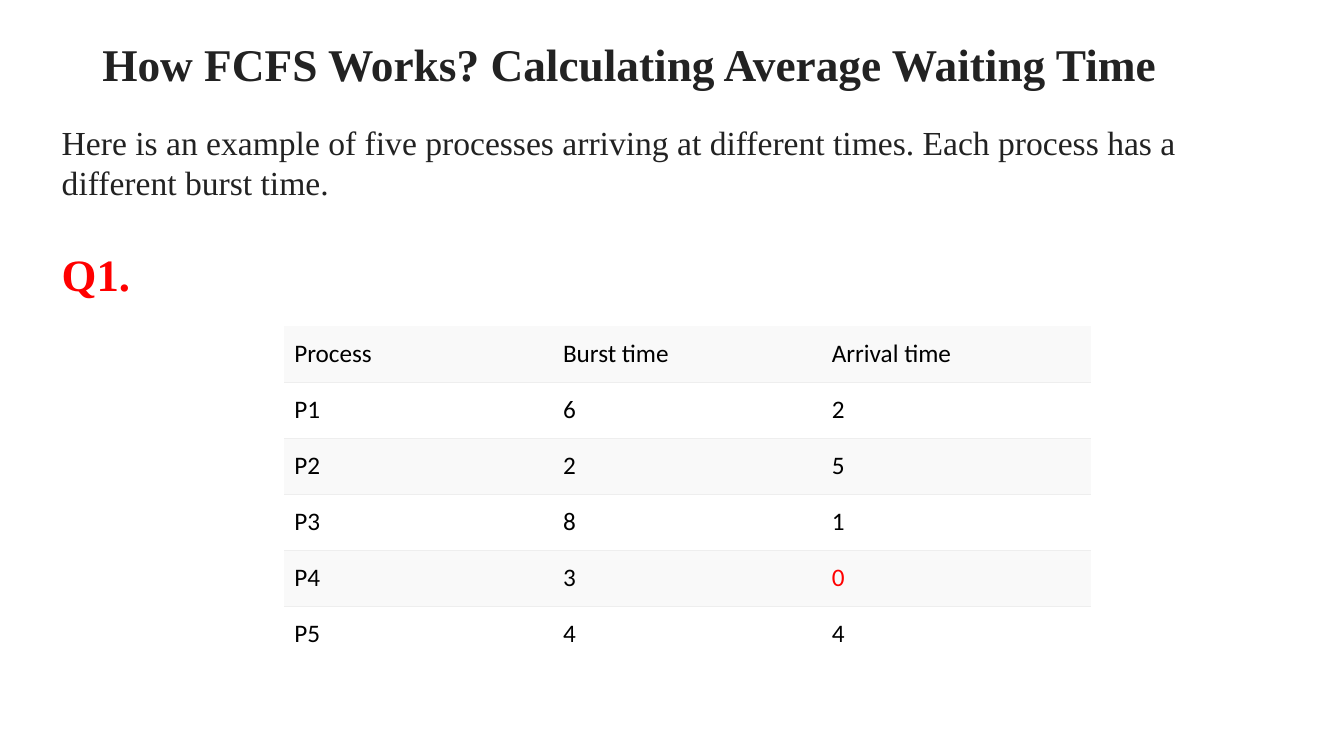
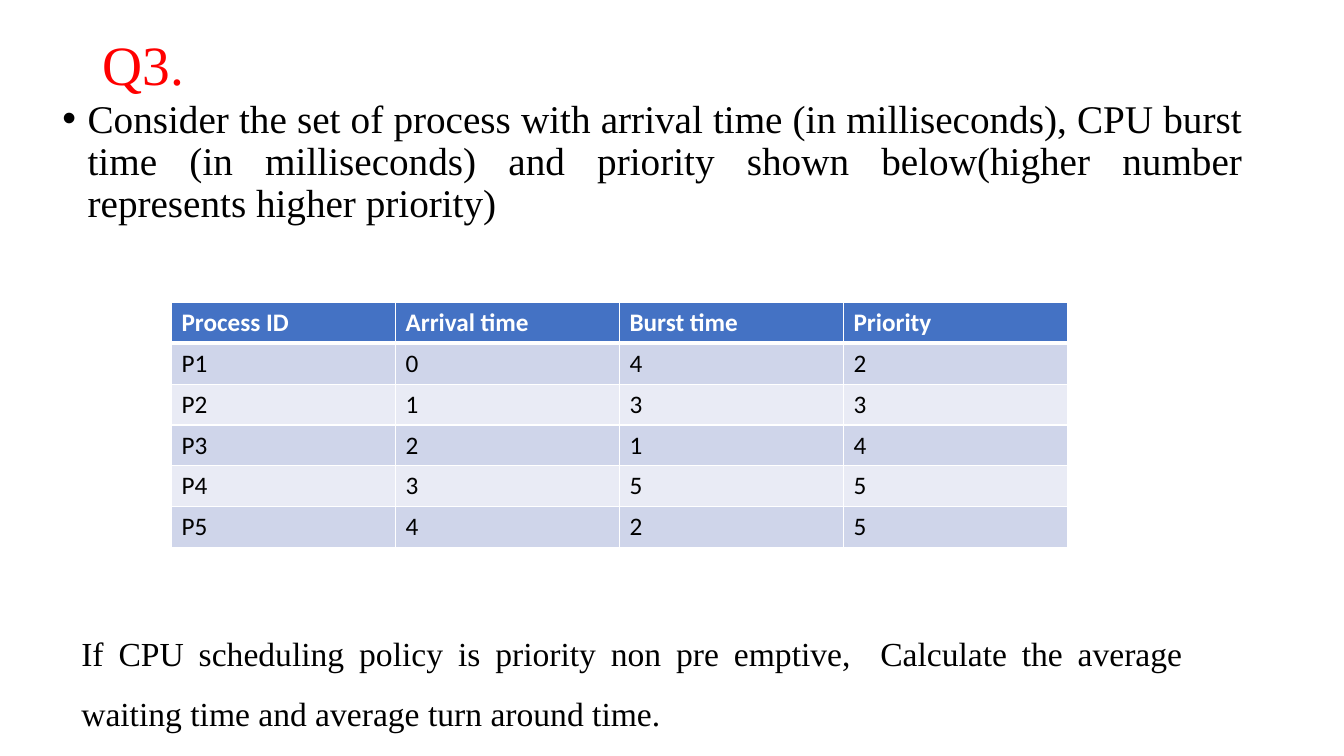
from lxml.etree import SubElement as Sub
from pptx import Presentation
from pptx.dml.color import RGBColor
from pptx.enum.text import MSO_ANCHOR as Anchor, PP_ALIGN as Align
from pptx.oxml.ns import qn
from pptx.util import Pt

SERIF, SANS = "Times New Roman", "Calibri"
BLACK, DARK, WHITE, RED = "000000", "222222", "FFFFFF", "FF0000"
RULE, PALE = "EEEEEE", "F9F9F9"
BLUE, MIST, HAZE = "4472C4", "CFD5EA", "E9EBF5"
TITLE_BOX = (66, 29, 828, 38)

TIMES = [
    ("Process", "Burst time", "Arrival time"),
    ("P1", "6", "2"),
    ("P2", "2", "5"),
    ("P3", "8", "1"),
    ("P4", "3", "0"),
    ("P5", "4", "4"),
]
RANKS = [
    ("Process ID", "Arrival time", "Burst time", "Priority"),
    ("P1", "0", "4", "2"),
    ("P2", "1", "3", "3"),
    ("P3", "2", "1", "4"),
    ("P4", "3", "5", "5"),
    ("P5", "4", "2", "5"),
]


def color(hue):
    """Turn a hex string into a colour."""
    return RGBColor.from_string(hue)


def style(par, face, size, hue, bold=False):
    """Format every run of a paragraph."""
    for run in par.runs:
        font = run.font
        font.name, font.size, font.bold = face, Pt(size), bold
        font.color.rgb = color(hue)


def add_text(slide, box, text, size, hue, bold=False, lines=1.0, align=Align.LEFT):
    """Add a wrapped serif text box and return its paragraph."""
    frame = slide.shapes.add_textbox(*map(Pt, box)).text_frame
    frame.word_wrap = True
    frame.text = text
    par = frame.paragraphs[0]
    par.alignment, par.line_spacing = align, lines
    style(par, SERIF, size, hue, bold)
    return par


def add_title(slide, text, size, hue, bold=False):
    """Add the slide title, centred vertically in the title box."""
    add_text(slide, TITLE_BOX, text, size, hue, bold, 0.9)
    slide.shapes[-1].text_frame.vertical_anchor = Anchor.MIDDLE


def add_bullet(par, indent):
    """Give a paragraph a round bullet and a hanging indent."""
    props = par._p.get_or_add_pPr()
    props.set("marL", str(Pt(indent)))
    props.set("indent", str(-Pt(indent)))
    Sub(props, qn("a:buFont"), typeface="Arial")
    Sub(props, qn("a:buChar"), char="•")


def add_edge(cell, side, hue, width):
    """Draw one cell border, or none if the width is zero."""
    line = Sub(cell._tc.get_or_add_tcPr(), qn("a:ln" + side), w=str(Pt(width)))
    if width:
        Sub(Sub(line, qn("a:solidFill")), qn("a:srgbClr"), val=hue)
    else:
        Sub(line, qn("a:noFill"))


def add_grid(slide, box, rows, fills, edges, anchor, head=BLACK, bold=False):
    """Add a table with equal rows and columns and return it."""
    left, top, width, height = box
    table = slide.shapes.add_table(len(rows), len(rows[0]), *map(Pt, box)).table
    table.first_row = table.horz_banding = False
    for col in table.columns:
        col.width = Pt(width / len(rows[0]))
    for r, row in enumerate(rows):
        table.rows[r].height = Pt(height / len(rows))
        for c, text in enumerate(row):
            cell = table.cell(r, c)
            cell.text, cell.vertical_anchor = text, anchor
            style(cell.text_frame.paragraphs[0], SANS, 18,
                  BLACK if r else head, bold and r == 0)
            for side, (hue, size) in edges(r).items():
                add_edge(cell, side, hue, size)
            cell.fill.solid()
            cell.fill.fore_color.rgb = color(fills(r))
    return table


def add_times(slide, box):
    """Add the pale table ruled between its rows."""
    last = len(TIMES) - 1

    def edges(r):
        """Rule the inner row edges only."""
        return {"L": (RULE, 0), "R": (RULE, 0),
                "T": (RULE, 0.6 if r else 0),
                "B": (RULE, 0.6 if r < last else 0)}

    table = add_grid(slide, box, TIMES, lambda r: WHITE if r % 2 else PALE,
                     edges, Anchor.MIDDLE)
    style(table.cell(4, 2).text_frame.paragraphs[0], SANS, 18, RED)


def add_ranks(slide, box):
    """Add the blue banded table with a bold header."""

    def edges(r):
        """Set a thick white rule under the header, thin ones elsewhere."""
        return {"L": (WHITE, 1), "R": (WHITE, 1),
                "T": (WHITE, 3 if r == 1 else 1),
                "B": (WHITE, 1 if r else 3)}

    add_grid(slide, box, RANKS,
             lambda r: BLUE if r == 0 else MIST if r % 2 else HAZE,
             edges, Anchor.TOP, WHITE, True)


def build_fcfs(slide):
    """Build the FCFS example slide."""
    add_title(slide, "How FCFS Works? Calculating Average Waiting Time", 32.4, DARK, True)
    add_times(slide, (203, 233, 576, 240))
    add_text(slide, (37, 83.5, 874, 65),
             "Here is an example of five processes arriving at different times. "
             "Each process has a different burst time.", 24, DARK)
    add_text(slide, (37, 173, 106, 46), "Q1.", 32, RED, True)


def build_rank(slide):
    """Build the priority scheduling question slide."""
    add_title(slide, "Q3.", 39.6, RED)
    par = add_text(slide, (37.5, 67.5, 857, 105),
                   "Consider the set of process with arrival time (in milliseconds), "
                   "CPU burst time (in milliseconds) and priority shown below(higher "
                   "number represents higher priority)",
                   28, BLACK, lines=0.9, align=Align.JUSTIFY)
    par.space_before = Pt(10)
    add_bullet(par, 18)
    add_ranks(slide, (122.5, 216, 640, 175.2))
    add_text(slide, (51, 434, 801, 90),
             "If CPU scheduling policy is priority non pre emptive,  Calculate the "
             "average waiting time and average turn around time.",
             24, BLACK, lines=1.5, align=Align.JUSTIFY)


def main():
    """Build and save the deck."""
    deck = Presentation()
    deck.slide_width, deck.slide_height = Pt(960), Pt(540)
    for build in (build_fcfs, build_rank):
        build(deck.slides.add_slide(deck.slide_layouts[6]))
    deck.save("out.pptx")


if __name__ == "__main__":
    main()
